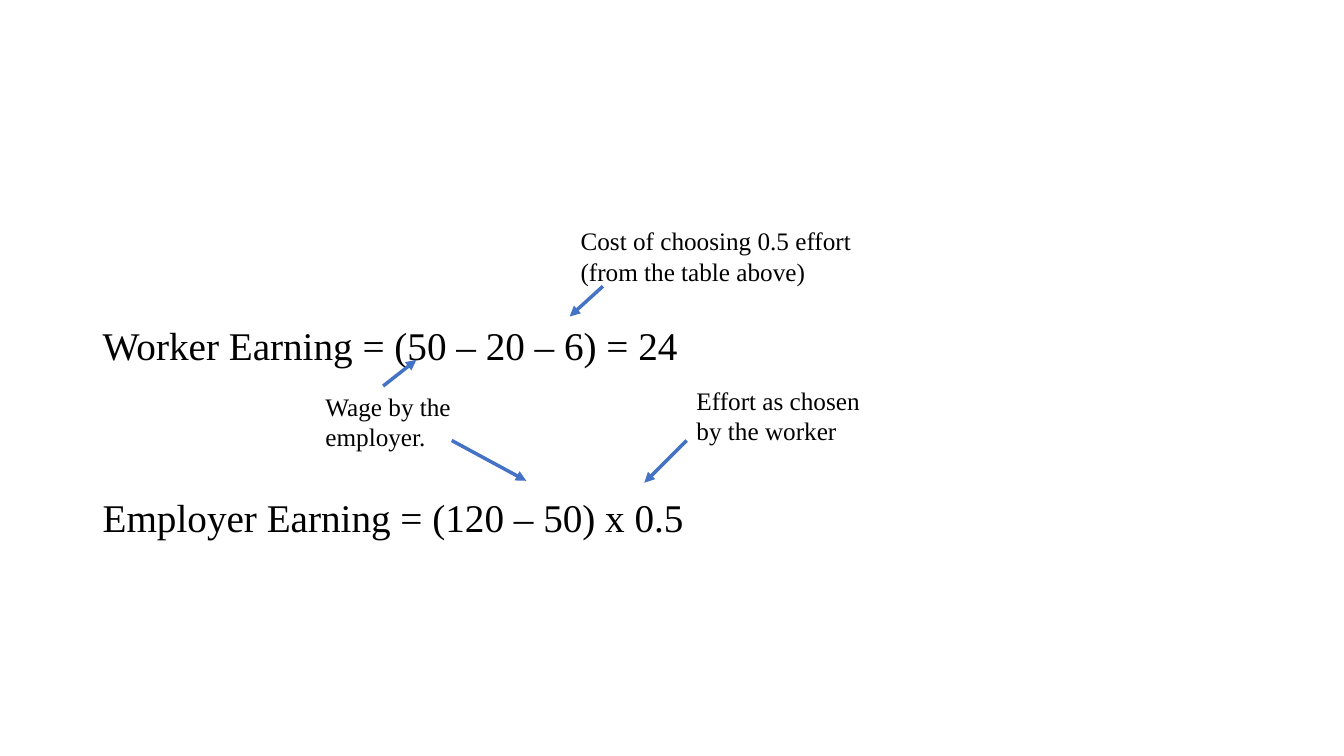
from lxml import etree
from pptx import Presentation
from pptx.dml.color import RGBColor
from pptx.enum.shapes import MSO_CONNECTOR
from pptx.oxml.ns import qn
from pptx.util import Inches, Pt

STRAIGHT = MSO_CONNECTOR.STRAIGHT
BLACK = RGBColor(0x00, 0x00, 0x00)
BLUE = RGBColor(0x44, 0x72, 0xC4)
FONT = "Times New Roman"

EQUATIONS = [
    "Worker Earning = (50 – 20 – 6) = 24",
    "Employer Earning = (120 – 50) x 0.5",
]
EQUATION_AREA = (0.92, 1.99, 11.5, 4.76)
FIRST_EQUATION_INSET = 1.2
EQUATION_GAP = Pt(88.8)

# text, (left, top, width, height)
NOTES = [
    ("Wage by the employer.", (3.13, 3.83, 2.33, 0.71)),
    ("Cost of choosing 0.5 effort (from the table above)", (5.66, 2.19, 2.99, 0.71)),
    ("Effort as chosen by the worker", (6.81, 3.77, 2.1, 0.71)),
]

# (start x, start y, end x, end y)
ARROWS = [
    (3.8, 3.83, 4.13, 3.57),
    (4.48, 4.37, 5.22, 4.77),
    (5.98, 2.84, 5.65, 3.14),
    (6.81, 4.37, 6.39, 4.79),
]


def add_text(slide, lines, area, size, gap=Pt(0)):
    """Add a wrapping text box with one paragraph per line and return its frame."""
    frame = slide.shapes.add_textbox(*map(Inches, area)).text_frame
    frame.word_wrap = True
    for index, line in enumerate(lines):
        paragraph = frame.add_paragraph() if index else frame.paragraphs[0]
        paragraph.space_before = gap if index else Pt(0)
        run = paragraph.add_run()
        run.text = line
        run.font.name = FONT
        run.font.size = Pt(size)
        run.font.color.rgb = BLACK
    return frame


def add_arrow(slide, ends):
    arrow = slide.shapes.add_connector(STRAIGHT, *map(Inches, ends))
    arrow.line.color.rgb = BLUE
    arrow.line.width = Pt(2.5)
    etree.SubElement(arrow.line._get_or_add_ln(), qn("a:tailEnd"), type="triangle")
    etree.SubElement(arrow._element.spPr, qn("a:effectLst"))


def main():
    deck = Presentation()
    deck.slide_width, deck.slide_height = Inches(13.33), Inches(7.5)
    slide = deck.slides.add_slide(deck.slide_layouts[6])

    equations = add_text(slide, EQUATIONS, EQUATION_AREA, 28, EQUATION_GAP)
    equations.margin_top = Inches(FIRST_EQUATION_INSET)
    for note, area in NOTES:
        add_text(slide, [note], area, 18)
    for ends in ARROWS:
        add_arrow(slide, ends)

    deck.save("out.pptx")


if __name__ == "__main__":
    main()
